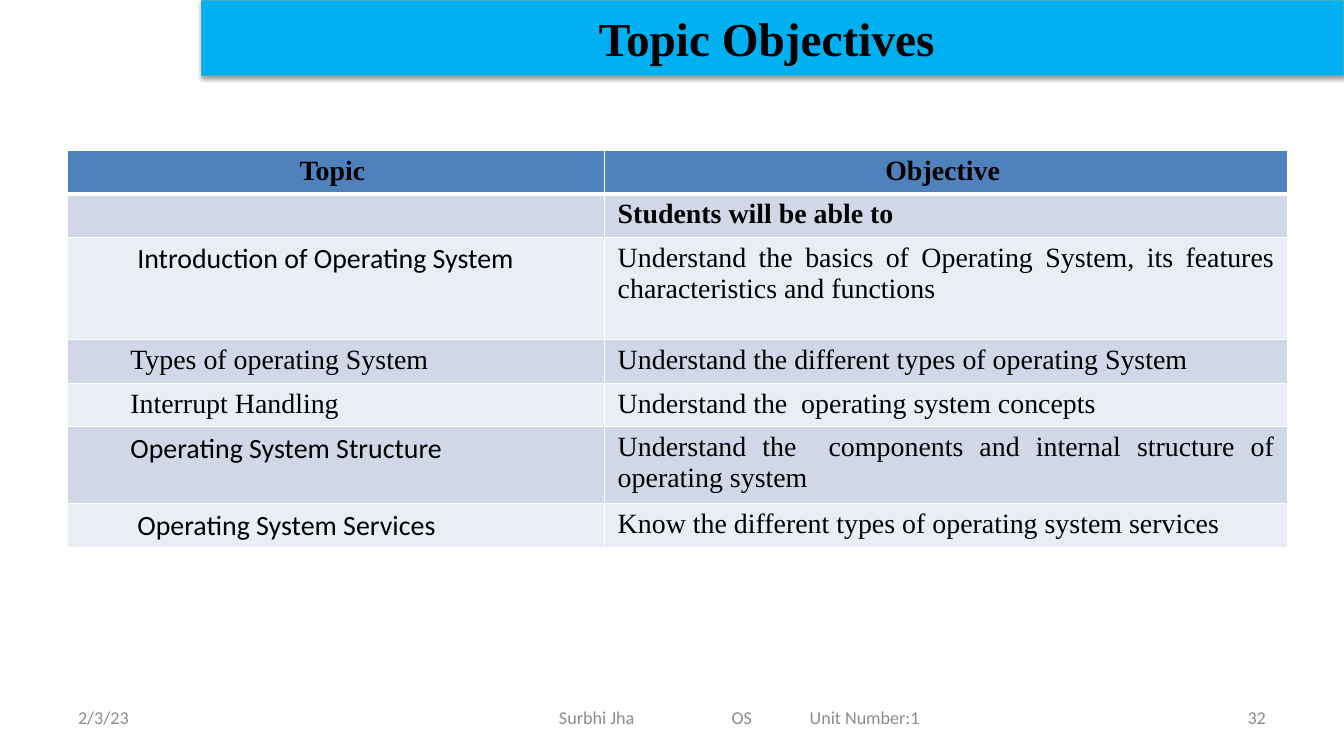
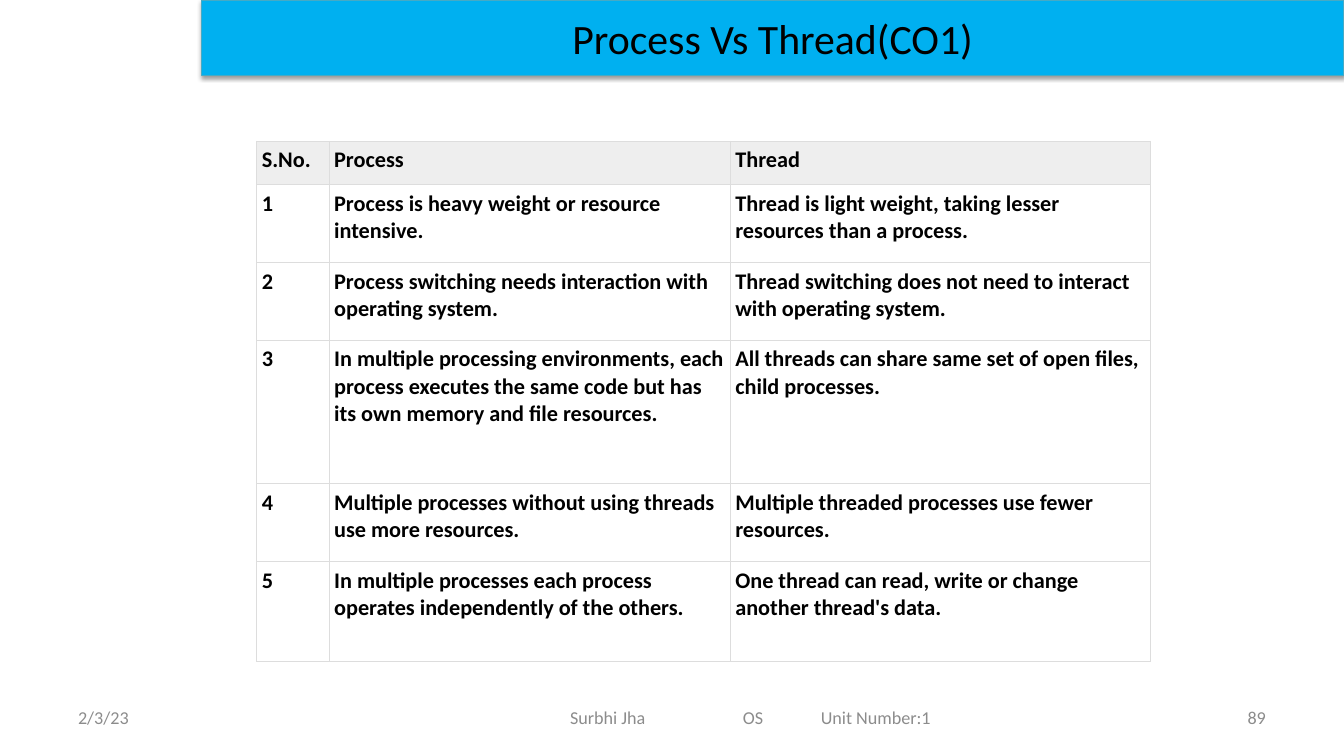
from dataclasses import dataclass

from lxml import etree
from pptx import Presentation
from pptx import util as u
from pptx.dml import color
from pptx.enum import text as t
from pptx.oxml import ns


@dataclass(frozen=True)
class Theme:
    band: str = "00B0F0"
    band_line: str = "46AAC5"
    ink: str = "000000"
    footer: str = "8C8C8C"
    white: str = "FFFFFF"
    header: str = "4F81BD"
    stripes: tuple = ("D0D8E8", "E9EDF4")
    grey_header: str = "EEEEEE"
    grey_rule: str = "DDDDDD"
    sans: str = "Calibri"
    serif: str = "Times New Roman"
    footer_size: float = 13
    objective_size: float = 20
    comparison_size: float = 16


THEME = Theme()
SLIDE_WIDTH, SLIDE_HEIGHT = 964.8, 540
BAND_LEFT, BAND_HEIGHT = 144.7, 54
FOOTER_TOP, FOOTER_HEIGHT = 500.4, 28.8
FOOTER_TEXT_WIDTH = 258
FOOTER_TABS = (124, 180)
LEFT, CENTER, RIGHT, JUSTIFY = (
    t.PP_ALIGN.LEFT, t.PP_ALIGN.CENTER, t.PP_ALIGN.RIGHT, t.PP_ALIGN.JUSTIFY)

OBJECTIVES = [
    (30.9, "Introduction of Operating System", THEME.sans, 41,
     "Understand the basics of Operating System, its features characteristics and functions", 73.5),
    (29.5, "Types of operating System", THEME.serif, 36,
     "Understand the different types of operating System ", 29.5),
    (29.5, "Interrupt Handling", THEME.serif, 36,
     "Understand the  operating system concepts", 29.5),
    (29.5, "Operating System Structure", THEME.sans, 36,
     "Understand the  components and internal structure of operating system", 51.5),
    (29.5, "Operating System Services", THEME.sans, 41,
     "Know the different types of operating system services", 31.6),
]
OBJECTIVES = [entry[1:] for entry in OBJECTIVES]

COMPARISON = [
    (31.3, "S.No.", "Process", "Thread"),
    (55.9, "1", "Process is heavy weight or resource intensive.",
     "Thread is light weight, taking lesser resources than a process."),
    (55.9, "2", "Process switching needs interaction with operating system.",
     "Thread switching does not need to interact with operating system."),
    (102.9, "3", "In multiple processing environments, each process executes the same code "
     "but has its own memory and file resources.",
     "All threads can share same set of open files, child processes."),
    (55.9, "4", "Multiple processes without using threads use more resources.",
     "Multiple threaded processes use fewer resources."),
    (71.4, "5", "In multiple processes each process operates independently of the others.",
     "One thread can read, write or change another thread's data."),
]


def rgb(value):
    return color.RGBColor.from_string(value)


def put_text(frame, content, *, size, font=THEME.sans, ink=THEME.ink, bold=False,
             align=LEFT, tabs=()):
    frame.word_wrap = True
    paragraph = frame.paragraphs[0]
    paragraph.alignment = align
    if tabs:
        stops = etree.SubElement(paragraph._p.get_or_add_pPr(), ns.qn("a:tabLst"))
        for stop in tabs:
            etree.SubElement(stops, ns.qn("a:tab"), pos=str(u.Pt(stop)), algn="l")
    run = paragraph.add_run()
    run.text = content
    run.font.size = u.Pt(size)
    run.font.name = font
    run.font.bold = bold
    run.font.color.rgb = rgb(ink)


def add_band_shadow(band):
    band.shadow.inherit = False
    effects = band._element.spPr.find(ns.qn("a:effectLst"))
    shadow = etree.SubElement(
        effects, ns.qn("a:outerShdw"), blurRad=str(u.Pt(3.1)), dist=str(u.Pt(1.6)),
        dir="5400000", rotWithShape="0")
    tint = etree.SubElement(shadow, ns.qn("a:srgbClr"), val=THEME.ink)
    etree.SubElement(tint, ns.qn("a:alpha"), val="38000")


def add_title(slide, content, **style):
    band = slide.shapes.title
    band.left, band.top = u.Pt(BAND_LEFT), u.Pt(0)
    band.width, band.height = u.Pt(SLIDE_WIDTH - BAND_LEFT), u.Pt(BAND_HEIGHT)
    band.fill.solid()
    band.fill.fore_color.rgb = rgb(THEME.band)
    band.line.color.rgb = rgb(THEME.band_line)
    band.line.width = u.Pt(0.75)
    add_band_shadow(band)
    frame = band.text_frame
    frame.auto_size = t.MSO_AUTO_SIZE.NONE
    frame.vertical_anchor = t.MSO_ANCHOR.MIDDLE
    put_text(frame, content, align=CENTER, **style)


def add_footer_part(slide, content, left, width, inset=7.9, **style):
    part = slide.shapes.add_textbox(
        u.Pt(left), u.Pt(FOOTER_TOP), u.Pt(width), u.Pt(FOOTER_HEIGHT))
    frame = part.text_frame
    frame.margin_left, frame.margin_right = u.Pt(inset), u.Pt(7.9)
    frame.vertical_anchor = t.MSO_ANCHOR.MIDDLE
    put_text(frame, content, size=THEME.footer_size, ink=THEME.footer, **style)


def add_footer(slide, number, course_width):
    add_footer_part(slide, "2/3/23", 48.2, 225.4)
    add_footer_part(slide, "Surbhi Jha\tOS\tUnit Number:1", 265, course_width,
                    inset=(course_width - FOOTER_TEXT_WIDTH) / 2, tabs=FOOTER_TABS)
    add_footer_part(slide, number, 691.2, 225.4, align=RIGHT)


def add_slide(deck, title, number, course_width, **title_style):
    slide = deck.slides.add_slide(deck.slide_layouts[5])
    add_footer(slide, number, course_width)
    add_title(slide, title, **title_style)
    return slide


def set_border(cell, side, tint, width):
    line = etree.SubElement(cell._tc.get_or_add_tcPr(), ns.qn("a:" + side), w=str(u.Pt(width)))
    fill = etree.SubElement(line, ns.qn("a:solidFill"))
    etree.SubElement(fill, ns.qn("a:srgbClr"), val=tint)


def format_cell(cell, content, fill, border, inset, indent=0, bottom=None, top=None, **style):
    tint, width = border
    cell.margin_left, cell.margin_right = u.Pt(inset + indent), u.Pt(inset)
    cell.margin_top = cell.margin_bottom = u.Pt(3.6)
    for side, weight in (("lnL", width), ("lnR", width),
                         ("lnT", top or width), ("lnB", bottom or width)):
        set_border(cell, side, tint, weight)
    if fill:
        cell.fill.solid()
        cell.fill.fore_color.rgb = rgb(fill)
    else:
        cell.fill.background()
    if content:
        put_text(cell.text_frame, content, **style)


def add_grid(slide, left, top, widths, heights):
    grid = slide.shapes.add_table(
        len(heights), len(widths), u.Pt(left), u.Pt(top),
        u.Pt(sum(widths)), u.Pt(sum(heights))).table
    grid.first_row = grid.horz_banding = False
    for column, width in zip(grid.columns, widths):
        column.width = u.Pt(width)
    for row, height in zip(grid.rows, heights):
        row.height = u.Pt(height)
    return grid


def add_objectives(slide):
    heights = [29.5, 29.5] + [entry[-1] for entry in OBJECTIVES]
    grid = add_grid(slide, 48.2, 108, (385.9, 490.3), heights)
    base = dict(border=(THEME.white, 1), inset=9.4, size=THEME.objective_size)
    heading = dict(base, font=THEME.serif, bold=True)
    for column, content in enumerate(("Topic ", "Objective ")):
        format_cell(grid.cell(0, column), content, THEME.header, align=CENTER, bottom=3, **heading)
    for column, content in enumerate(("", "Students will be able to")):
        format_cell(grid.cell(1, column), content, THEME.stripes[0], top=3, **heading)
    for row, (topic, font, indent, objective, _) in enumerate(OBJECTIVES, 2):
        fill = THEME.stripes[(row - 1) % 2]
        format_cell(grid.cell(row, 0), topic, fill, font=font, indent=indent, **base)
        format_cell(grid.cell(row, 1), objective, fill, font=THEME.serif, align=JUSTIFY, **base)


def add_comparison(slide):
    grid = add_grid(slide, 184.3, 101.5, (52, 288, 301.7), [entry[0] for entry in COMPARISON])
    for row, (_, *contents) in enumerate(COMPARISON):
        for column, content in enumerate(contents):
            format_cell(grid.cell(row, column), content, None if row else THEME.grey_header,
                        border=(THEME.grey_rule, 0.75), inset=3.6,
                        size=THEME.comparison_size, bold=True)


def main():
    deck = Presentation()
    deck.slide_width, deck.slide_height = u.Pt(SLIDE_WIDTH), u.Pt(SLIDE_HEIGHT)
    add_objectives(add_slide(deck, "Topic Objectives ", "32", 530.6,
                             size=34, font=THEME.serif, bold=True))
    add_comparison(add_slide(deck, "Process Vs Thread(CO1)", "89", 546.5, size=30))
    deck.save("out.pptx")


if __name__ == "__main__":
    main()
